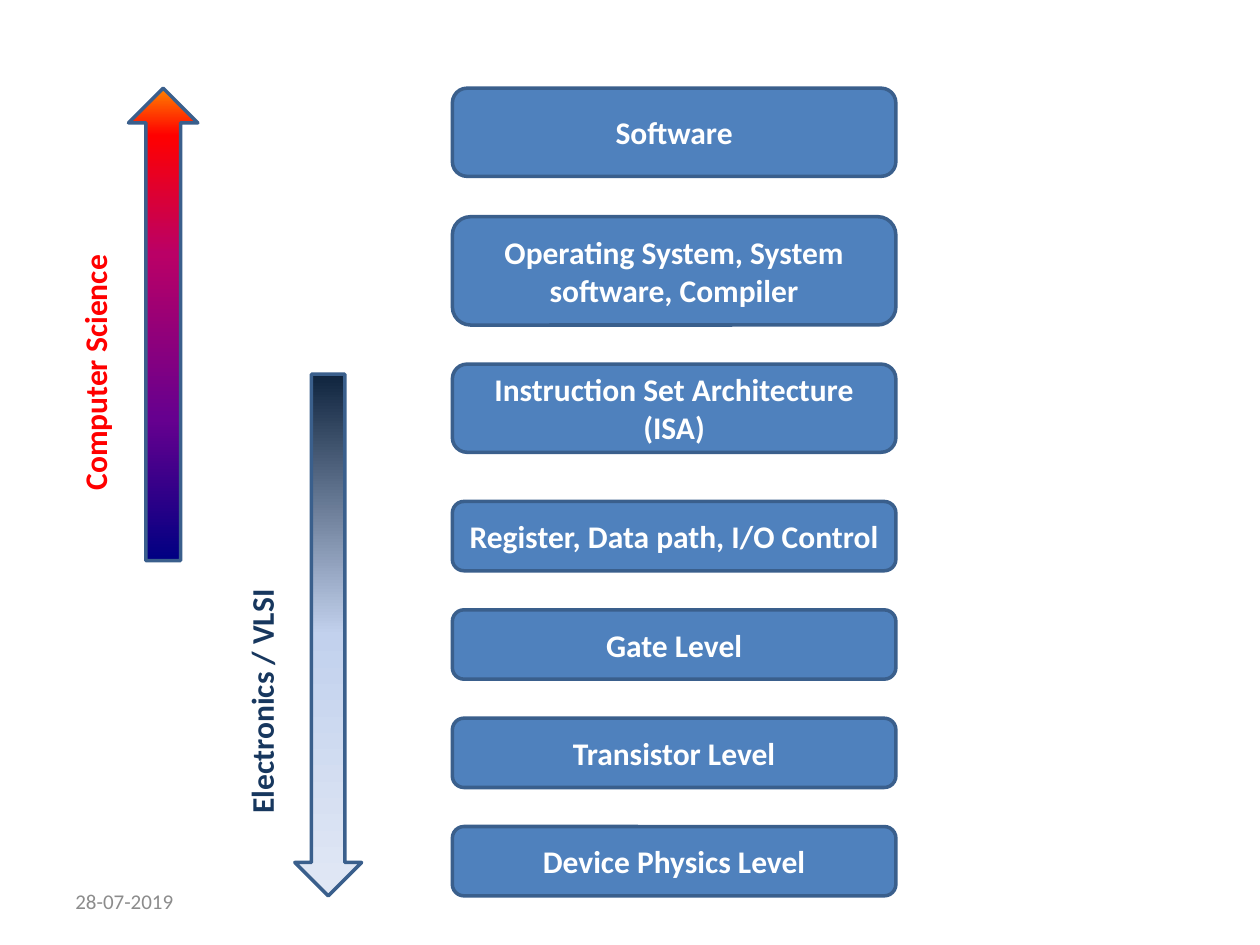
from lxml import etree
from pptx import Presentation
from pptx.dml.color import RGBColor
from pptx.enum import shapes, text
from pptx.oxml.ns import qn
from pptx.util import Pt

PX = 9144  # EMU per px, 100 px to the inch
FONT = "Calibri"
COLORS = {
    "box": "4F81BD",
    "outline": "3A5F8C",
    "box_text": "FFFFFF",
    "date": "8C8C8C",
    "science": "FF0000",
    "electronics": "17375E",
}
SCIENCE_STOPS = [(0, "000082"), (30, "66008F"), (65, "BA0066"),
                 (90, "FF0000"), (100, "FF8200")]
ELECTRONICS_STOPS = [(0, "0F243E"), (50, "C2D1ED"), (100, "E1E8F5")]

# Abstraction levels: name, top, height
LEVELS = [
    ("Software", 70, 70),
    ("Operating System, System software, Compiler", 172, 86),
    ("Instruction Set Architecture (ISA)", 289, 70),
    ("Register, Data path, I/O Control", 398, 55),
    ("Gate Level", 484, 55),
    ("Transistor Level", 570, 55),
    ("Device Physics Level", 656, 55),
]


def emu(box):
    return [n * PX for n in box]


def rgb(name):
    return RGBColor.from_string(COLORS[name])


def write(sp, words, size, color, bold=False, align=text.PP_ALIGN.LEFT,
          anchor=text.MSO_ANCHOR.MIDDLE):
    tf = sp.text_frame
    tf.word_wrap = True
    tf.vertical_anchor = anchor
    p = tf.paragraphs[0]
    p.text = words
    p.alignment = align
    p.font.name = FONT
    p.font.size = Pt(size)
    p.font.bold = bold
    p.font.color.rgb = rgb(color)


def add_outlined(slide, kind, box):
    sp = slide.shapes.add_shape(kind, *emu(box))
    sp.shadow.inherit = False
    sp.line.color.rgb = rgb("outline")
    sp.line.width = Pt(2)
    return sp


def add_label(slide, box, words, size, color, rotation=0, **style):
    sp = slide.shapes.add_textbox(*emu(box))
    sp.rotation = rotation
    write(sp, words, size, color, **style)


def add_levels(slide, left, width):
    for name, top, height in LEVELS:
        sp = add_outlined(slide, shapes.MSO_SHAPE.ROUNDED_RECTANGLE,
                          (left, top, width, height))
        sp.fill.solid()
        sp.fill.fore_color.rgb = rgb("box")
        write(sp, name, 18, "box_text", bold=True, align=text.PP_ALIGN.CENTER)


def add_field(slide, arrow_box, stops, rotation, label_box, label, color):
    # Arrow with a gradient running from tail to head
    sp = add_outlined(slide, shapes.MSO_SHAPE.DOWN_ARROW, arrow_box)
    sp.rotation = rotation
    sp.fill.gradient()
    sp.fill.gradient_angle = 270
    gs_list = next(sp._element.spPr.iter(qn("a:gsLst")))
    for gs in list(gs_list):
        gs_list.remove(gs)
    for pos, value in stops:
        gs = etree.SubElement(gs_list, qn("a:gs"), pos=str(pos * 1000))
        etree.SubElement(gs, qn("a:srgbClr"), val=value)
    # Label reading upwards beside the arrow
    add_label(slide, label_box, label, 18, color, rotation=270, bold=True,
              anchor=text.MSO_ANCHOR.TOP)


def main():
    prs = Presentation()
    prs.slide_width, prs.slide_height = emu((1000, 750))
    slide = prs.slides.add_slide(prs.slide_layouts[6])

    # Date
    add_label(slide, (50, 695, 233, 40), "28-07-2019", 12, "date")
    # Stack of levels
    add_levels(slide, 359, 352)
    # Fields that cover the levels
    add_field(slide, (102, 70, 55, 375), SCIENCE_STOPS, 180,
              (-46, 258, 242, 40), "Computer Science", "science")
    add_field(slide, (234, 297, 53, 414), ELECTRONICS_STOPS, 0,
              (91, 519, 233, 40), "Electronics / VLSI", "electronics")

    prs.save("out.pptx")


if __name__ == "__main__":
    main()
